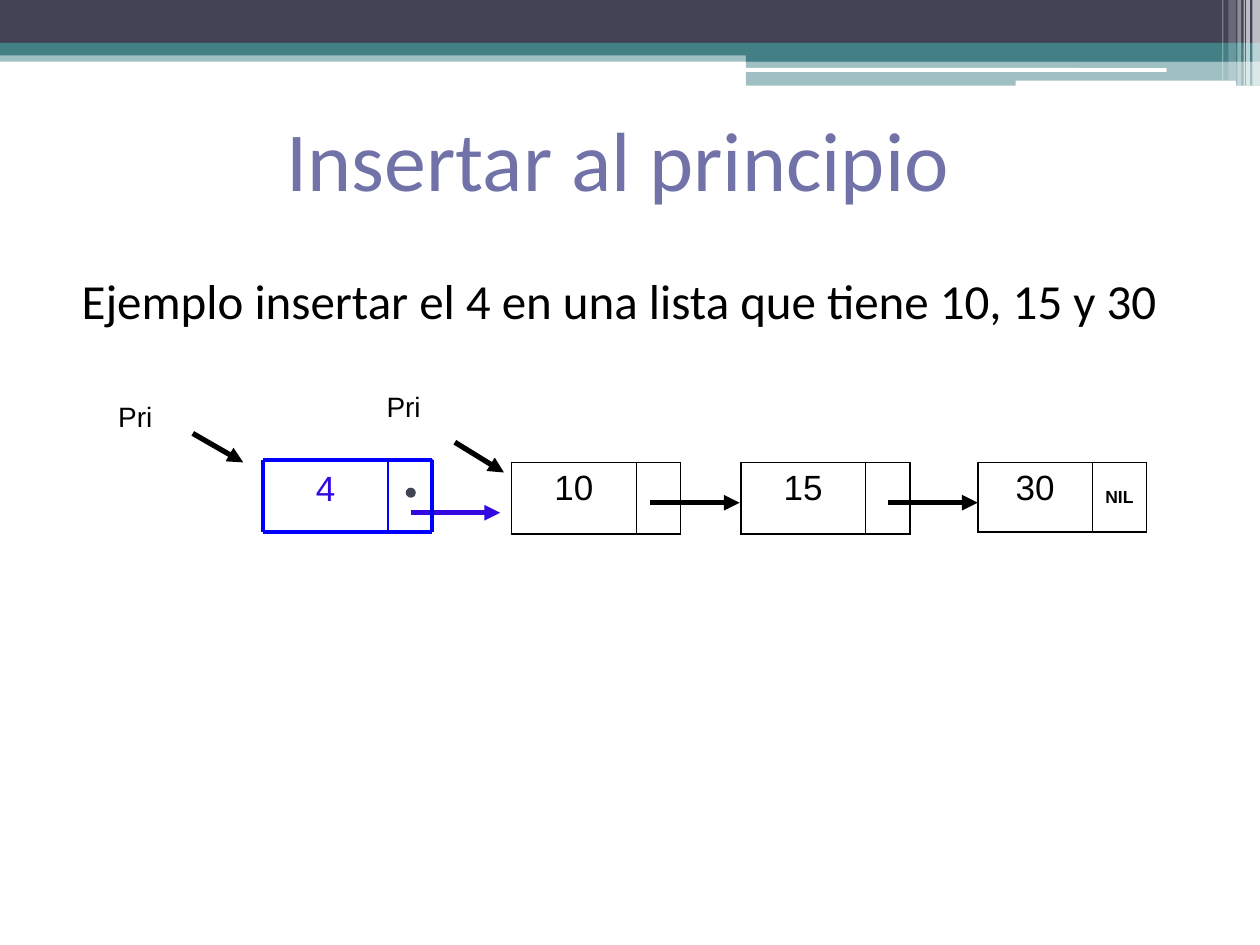
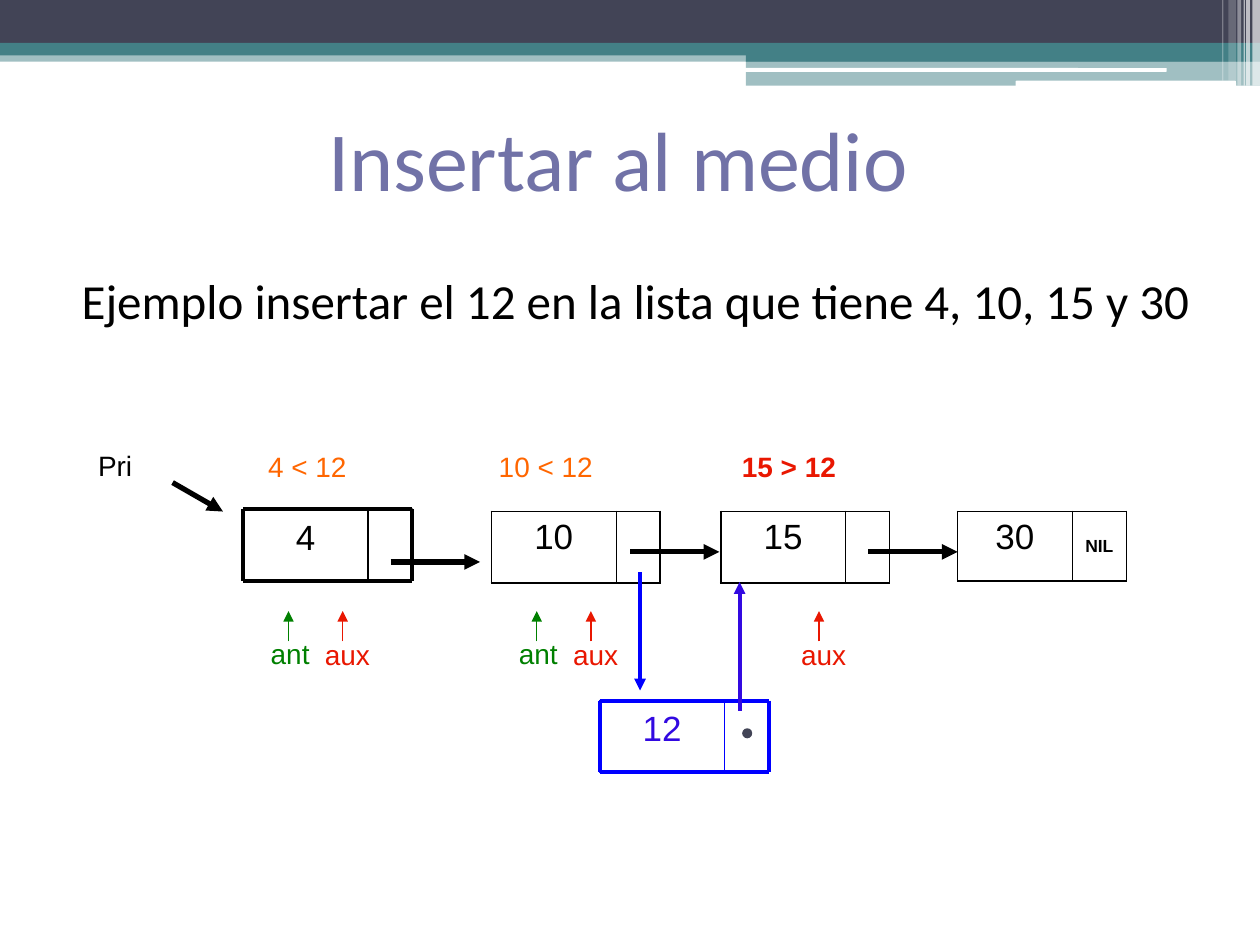
import pptx
import pptx.util
import pptx.dml.color
import pptx.enum.shapes
import pptx.enum.text
import pptx.oxml.ns
import lxml.etree

Inches, Pt = pptx.util.Inches, pptx.util.Pt
SHAPE = pptx.enum.shapes.MSO_SHAPE
ANCHOR = pptx.enum.text.MSO_ANCHOR
CENTER = pptx.enum.text.PP_ALIGN.CENTER
qn = pptx.oxml.ns.qn

BLACK, WHITE, SLATE, TEAL = "000000", "FFFFFF", "424456", "438086"
LILAC, BLUE, VIOLET = "7172A7", "0000FF", "3209E1"
GREEN, RED, ORANGE = "008000", "E91701", "FF6600"

BANDS = [
    (SHAPE.RECTANGLE, (0, 0.4, 10, 0.09), TEAL, 50),
    (SHAPE.RECTANGLE, (0, 0, 10, 0.34), SLATE, 100),
    (SHAPE.RECTANGLE, (0, 0.34, 10, 0.1), TEAL, 100),
    (SHAPE.RECTANGLE, (5.92, 0.39, 4.08, 0.1), TEAL, 100),
    (SHAPE.RECTANGLE, (5.92, 0.48, 4.08, 0.2), TEAL, 50),
    (SHAPE.ROUNDED_RECTANGLE, (5.91, 0.54, 3.35, 0.03), WHITE, 100),
    (SHAPE.ROUNDED_RECTANGLE, (8.06, 0.64, 1.75, 0.05), WHITE, 100),
]
STRIPES = [
    (9.94, 0.06, 0.68, 65),
    (9.89, 0.03, 0.68, 65),
    (9.87, 0.01, 0.68, 60),
    (9.82, 0.03, 0.68, 40),
    (9.75, 0.06, 0.64, 20),
    (9.7, 0.01, 0.64, 30),
]

NODE_WIDTH, NODE_HEIGHT, VALUE_WIDTH = 1.34, 0.57, 0.99
CHAIN = [
    ("10", "", 1.97, 0.99, 0.57),
    ("15", "", 3.79, 0.99, 0.57),
    ("30", "NIL", 5.67, 0.91, 0.55),
]
LINKS = [(3.07, 0.34), (4.96, 0.34)]
FIRST_LINK = (1.17, 0.42)
LINK_LENGTH = 0.71

START = {
    "title": "Insertar al principio",
    "example": "Ejemplo insertar el 4 en una lista que tiene 10, 15 y 30",
    "example_width": 9,
    "origin": (2.09, 3.65),
    "first_colors": (BLUE, VIOLET, VIOLET),
    "first_dot": True,
}
MIDDLE = {
    "title": "Insertar al medio",
    "example": "Ejemplo insertar el 12 en la lista que tiene 4, 10, 15 y 30",
    "example_width": 9.14,
    "origin": (1.93, 4.04),
    "first_colors": (BLACK, BLACK, BLACK),
    "first_dot": False,
}
OLD_PRI = (2.97, 3.04)
OLD_PRI_ARROW = ((3.61, 3.51), (4, 3.75))
INSERTED = ("12", 4.76, 5.56)
INSERTED_LINKS = [
    ((5.08, 4.54), (5.08, 5.48), BLUE),
    ((5.87, 5.64), (5.87, 4.62), VIOLET),
]
POINTERS = [
    ("ant", 2.05, 5, GREEN),
    ("aux", 2.48, 5.01, RED),
    ("ant", 4.02, 5, GREEN),
    ("aux", 4.45, 5.01, RED),
    ("aux", 6.26, 5.01, RED),
]
COMPARISONS = [
    ("4 < 12", 2.03, 3.52, 0.84, ORANGE, False),
    ("10 < 12", 3.86, 3.52, 0.98, ORANGE, False),
    ("15 > 12", 5.79, 3.52, 0.98, RED, True),
]


def rgb(color):
    return pptx.dml.color.RGBColor.from_string(color)


def write(frame, text, size, color, font="Arial", bold=False, align=None, before=0):
    paragraph = frame.paragraphs[0]
    paragraph.alignment = align
    paragraph.space_before = Pt(before)
    run = paragraph.add_run()
    run.text = text
    run.font.name, run.font.size, run.font.bold = font, Pt(size), bold
    run.font.color.rgb = rgb(color)
    return paragraph


def add_box(slide, kind, place, fill=None, opacity=100, line=None):
    box = slide.shapes.add_shape(kind, *map(Inches, place))
    box.shadow.inherit = False
    if fill:
        box.fill.solid()
        box.fill.fore_color.rgb = rgb(fill)
        if opacity < 100:
            tint = box._element.spPr.find(".//" + qn("a:srgbClr"))
            lxml.etree.SubElement(tint, qn("a:alpha"), val=str(opacity * 1000))
    else:
        box.fill.background()
    if line:
        box.line.color.rgb = rgb(line)
        box.line.width = Pt(0.75)
    else:
        box.line.fill.background()
    return box


def add_line(slide, start, end, color, width, arrow=False):
    line = slide.shapes.add_connector(
        pptx.enum.shapes.MSO_CONNECTOR.STRAIGHT, *map(Inches, (*start, *end)))
    line.line.color.rgb = rgb(color)
    line.line.width = Pt(width)
    if arrow:
        lxml.etree.SubElement(line.line._get_or_add_ln(), qn("a:tailEnd"), type="triangle")
    lxml.etree.SubElement(line._element.spPr, qn("a:effectLst"))


def add_text(slide, place, wrap=True):
    frame = slide.shapes.add_textbox(*map(Inches, place)).text_frame
    frame.word_wrap = wrap
    return frame


def add_label(slide, text, x, y, width, color=BLACK, bold=False, wrap=False):
    frame = add_text(slide, (x, y, width, 0.37), wrap)
    frame.auto_size = pptx.enum.text.MSO_AUTO_SIZE.SHAPE_TO_FIT_TEXT
    write(frame, text, 16, color, bold=bold)


def set_borders(cell, left, right):
    properties = cell._tc.get_or_add_tcPr()
    for side, width in (("L", left), ("R", right), ("T", 1.08), ("B", 1.08)):
        border = lxml.etree.SubElement(properties, qn("a:ln" + side), w=str(Pt(width)))
        solid = lxml.etree.SubElement(border, qn("a:solidFill"))
        lxml.etree.SubElement(solid, qn("a:srgbClr"), val=BLACK)
    cell.fill.background()


def add_table_node(slide, value, link, x, y, value_width, height):
    table = slide.shapes.add_table(
        1, 2, *map(Inches, (x, y, NODE_WIDTH, height))).table
    table.first_row = table.horz_banding = False
    table.columns[0].width = Inches(value_width)
    table.columns[1].width = Inches(NODE_WIDTH - value_width)
    value_cell, link_cell = table.cell(0, 0), table.cell(0, 1)
    set_borders(value_cell, 1.08, 0.45)
    set_borders(link_cell, 0.45, 1.08)
    write(value_cell.text_frame, value, 20, BLACK, align=CENTER, before=5)
    if link:
        link_cell.vertical_anchor = ANCHOR.MIDDLE
        write(link_cell.text_frame, link, 10, BLACK, bold=True, align=CENTER, before=2.5)


def add_framed_node(slide, value, x, y, frame_color, value_color, dot):
    divider, right, bottom = x + VALUE_WIDTH, x + NODE_WIDTH, y + NODE_HEIGHT
    add_box(slide, SHAPE.RECTANGLE, (divider, y, right - divider, NODE_HEIGHT),
            line=frame_color)
    value_box = add_box(slide, SHAPE.RECTANGLE, (x, y, VALUE_WIDTH, NODE_HEIGHT),
                        line=frame_color)
    value_box.text_frame.vertical_anchor = ANCHOR.TOP
    write(value_box.text_frame, value, 20, value_color, align=CENTER, before=5)
    for edge in (y, bottom):
        add_line(slide, (x, edge), (right, edge), frame_color, 2.25)
    for edge, width in ((x, 2.25), (divider, 1), (right, 2.25)):
        add_line(slide, (edge, y), (edge, bottom), frame_color, width)
    if dot:
        add_box(slide, SHAPE.OVAL, (x + 1.13, y + 0.22, 0.08, 0.08), SLATE)


def add_link(slide, x, y, color):
    add_line(slide, (x, y), (x + LINK_LENGTH, y), color, 3, arrow=True)


def add_list(slide, origin, first_colors, first_dot):
    x, y = origin
    frame_color, value_color, link_color = first_colors
    for link_x, link_y in LINKS:
        add_link(slide, x + link_x, y + link_y, BLACK)
    for value, link, offset, value_width, height in CHAIN:
        add_table_node(slide, value, link, x + offset, y + 0.02, value_width, height)
    add_label(slide, "Pri", x - 1.25, y - 0.53, 0.47)
    add_line(slide, (x - 0.56, y - 0.21), (x - 0.16, y + 0.02), BLACK, 3, arrow=True)
    add_link(slide, x + FIRST_LINK[0], y + FIRST_LINK[1], link_color)
    add_framed_node(slide, "4", x, y, frame_color, value_color, first_dot)


def add_list_slide(deck, content):
    slide = deck.slides.add_slide(deck.slide_layouts[6])
    for kind, place, color, opacity in BANDS:
        add_box(slide, kind, place, color, opacity)
    for x, width, height, opacity in STRIPES:
        add_box(slide, SHAPE.RECTANGLE, (x, 0, width, height), WHITE, opacity)

    title = add_text(slide, (0.43, 0.68, 8.95, 1.15))
    title.vertical_anchor = ANCHOR.MIDDLE
    title.margin_left = title.margin_right = Inches(0.05)
    write(title, content["title"], 48, LILAC, "Calibri", align=CENTER)

    example = add_text(slide, (0.43, 2.1, content["example_width"], 4.25))
    paragraph = write(example, content["example"], 28, BLACK, "Calibri", before=3)
    indents = paragraph._p.get_or_add_pPr()
    indents.set("marL", str(Inches(0.4)))
    indents.set("indent", str(Inches(-0.28)))

    add_list(slide, content["origin"], content["first_colors"], content["first_dot"])
    return slide


def main():
    deck = pptx.Presentation()
    deck.slide_width, deck.slide_height = Inches(10), Inches(7.5)

    start = add_list_slide(deck, START)
    add_label(start, "Pri", *OLD_PRI, 0.47)
    add_line(start, *OLD_PRI_ARROW, BLACK, 3, arrow=True)

    middle = add_list_slide(deck, MIDDLE)
    add_framed_node(middle, *INSERTED, BLUE, VIOLET, True)
    for name, x, y, color in POINTERS:
        add_label(middle, name, x, y, 0.71, color, wrap=True)
        add_line(middle, (x + 0.24, 5.09), (x + 0.24, 4.85), color, 0.75, arrow=True)
    for tail, tip, color in INSERTED_LINKS:
        add_line(middle, tail, tip, color, 2.25, arrow=True)
    for text, x, y, width, color, bold in COMPARISONS:
        add_label(middle, text, x, y, width, color, bold)

    deck.save("out.pptx")


if __name__ == "__main__":
    main()
